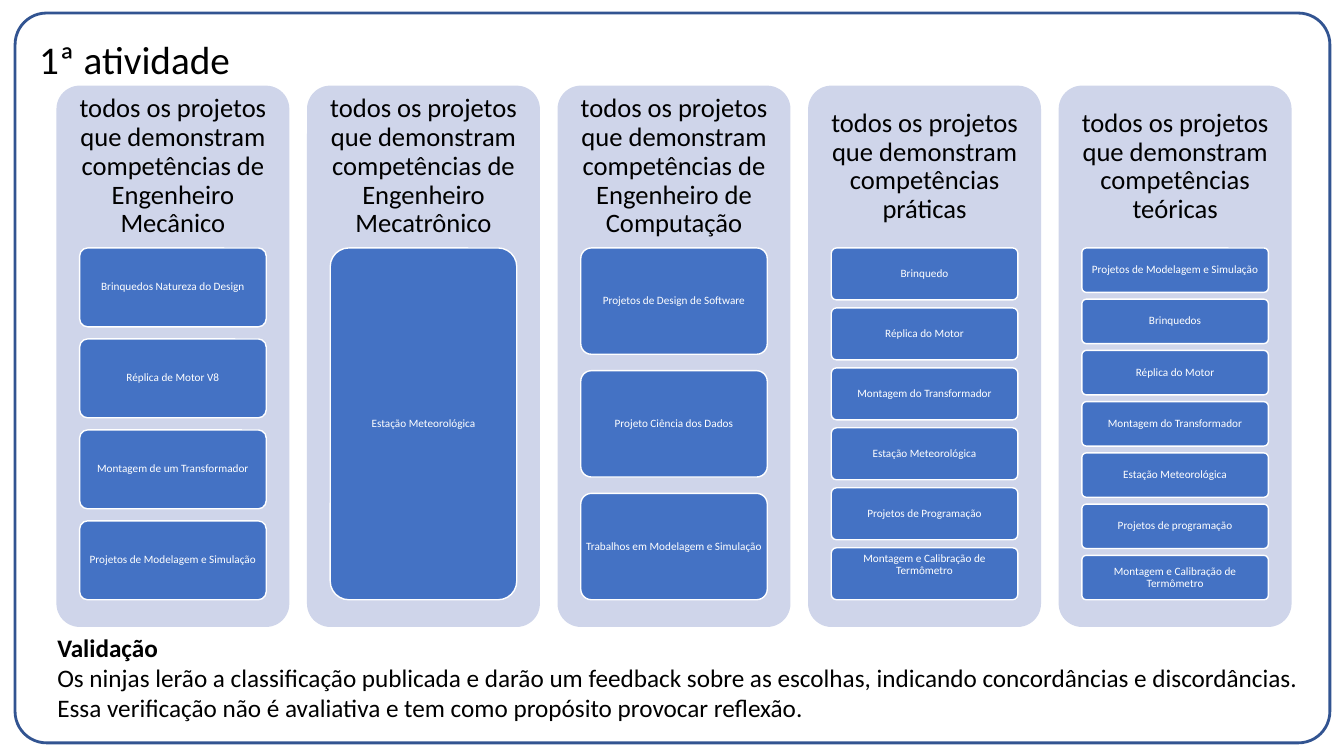
from pptx import Presentation
from pptx.dml.color import RGBColor
from pptx.enum.shapes import MSO_SHAPE
from pptx.enum.text import MSO_ANCHOR, PP_ALIGN
from pptx.util import Inches, Pt

ROUND = MSO_SHAPE.ROUNDED_RECTANGLE
MIDDLE, TOP = MSO_ANCHOR.MIDDLE, MSO_ANCHOR.TOP
LEFT, CENTER = PP_ALIGN.LEFT, PP_ALIGN.CENTER
HEAD = "todos os projetos que demonstram competências "
COLUMNS = [
    ("de Engenheiro Mecânico", [
        "Brinquedos Natureza do Design", "Réplica de Motor V8",
        "Montagem de um Transformador", "Projetos de Modelagem e Simulação"]),
    ("de Engenheiro Mecatrônico", ["Estação Meteorológica"]),
    ("de Engenheiro de Computação", [
        "Projetos de Design de Software", "Projeto Ciência dos Dados",
        "Trabalhos em Modelagem e Simulação"]),
    ("práticas", [
        "Brinquedo", "Réplica do Motor", "Montagem do Transformador",
        "Estação Meteorológica", "Projetos de Programação",
        "Montagem e Calibração de Termômetro"]),
    ("teóricas", [
        "Projetos de Modelagem e Simulação", "Brinquedos", "Réplica do Motor",
        "Montagem do Transformador", "Estação Meteorológica",
        "Projetos de programação", "Montagem e Calibração de Termômetro"]),
]

deck = Presentation()
deck.slide_width, deck.slide_height = Inches(13.33), Inches(7.5)
slide = deck.slides.add_slide(deck.slide_layouts[6])


def panel(x, y, w, h, curve, fill=None, line=None, width=1):
    shape = slide.shapes.add_shape(ROUND, Inches(x), Inches(y), Inches(w), Inches(h))
    shape.adjustments[0] = curve
    shape.shadow.inherit = False
    if fill:
        shape.fill.solid()
        shape.fill.fore_color.rgb = RGBColor.from_string(fill)
    else:
        shape.fill.background()
    if line:
        shape.line.color.rgb = RGBColor.from_string(line)
        shape.line.width = Pt(width)
    else:
        shape.line.fill.background()
    return shape


def write(text, shape=None, box=None, size=18, color="000000", align=LEFT,
          anchor=MIDDLE, space=1.0, inset=(0.1, 0.05, 0.1, 0.05), title=False):
    if box:
        shape = slide.shapes.add_textbox(*[Inches(v) for v in box])
    frame = shape.text_frame
    frame.word_wrap = True
    frame.vertical_anchor = anchor
    frame.margin_left, frame.margin_top, frame.margin_right, frame.margin_bottom = [
        Inches(v) for v in inset]
    frame.text = text
    for i, para in enumerate(frame.paragraphs):
        para.alignment = align
        para.line_spacing = space
        font = para.runs[0].font
        font.name, font.size = "Calibri", Pt(size)
        font.bold = title and i == 0
        font.color.rgb = RGBColor.from_string(color)


panel(0.15, 0.13, 13.04, 7.24, 0.043, line="325491", width=2)
write("1ª atividade", box=(0.29, -0.11, 11.5, 1.45), size=28, space=0.9)

for col, (topic, tasks) in enumerate(COLUMNS):
    x = 0.56 + col * 2.485
    panel(x, 0.85, 2.31, 5.37, 0.1, fill="CFD5EA")
    write(HEAD + topic, box=(x, 0.85, 2.31, 1.61), size=19, align=CENTER,
          space=0.9, inset=(0.08,) * 4)
    count = len(tasks)
    high = 3.49 / (count + (count - 1) / 6.5)
    for row, task in enumerate(tasks):
        card = panel(x + 0.23, 2.46 + row * high * 7.5 / 6.5, 1.85, high, 0.1,
                     fill="4472C4", line="FFFFFF")
        lift = 0.2 if topic == "práticas" and row == count - 1 else 0.02
        write(task, shape=card, size=8, color="FFFFFF", align=CENTER,
              space=0.9, inset=(0.02, 0.02, 0.02, lift))

write("Validação\nOs ninjas lerão a classificação publicada e darão um feedback sobre "
      "as escolhas, indicando concordâncias e discordâncias. Essa verificação não é "
      "avaliativa e tem como propósito provocar reflexão.",
      box=(0.47, 6.22, 12.86, 1.01), anchor=TOP, title=True)

deck.save("out.pptx")
